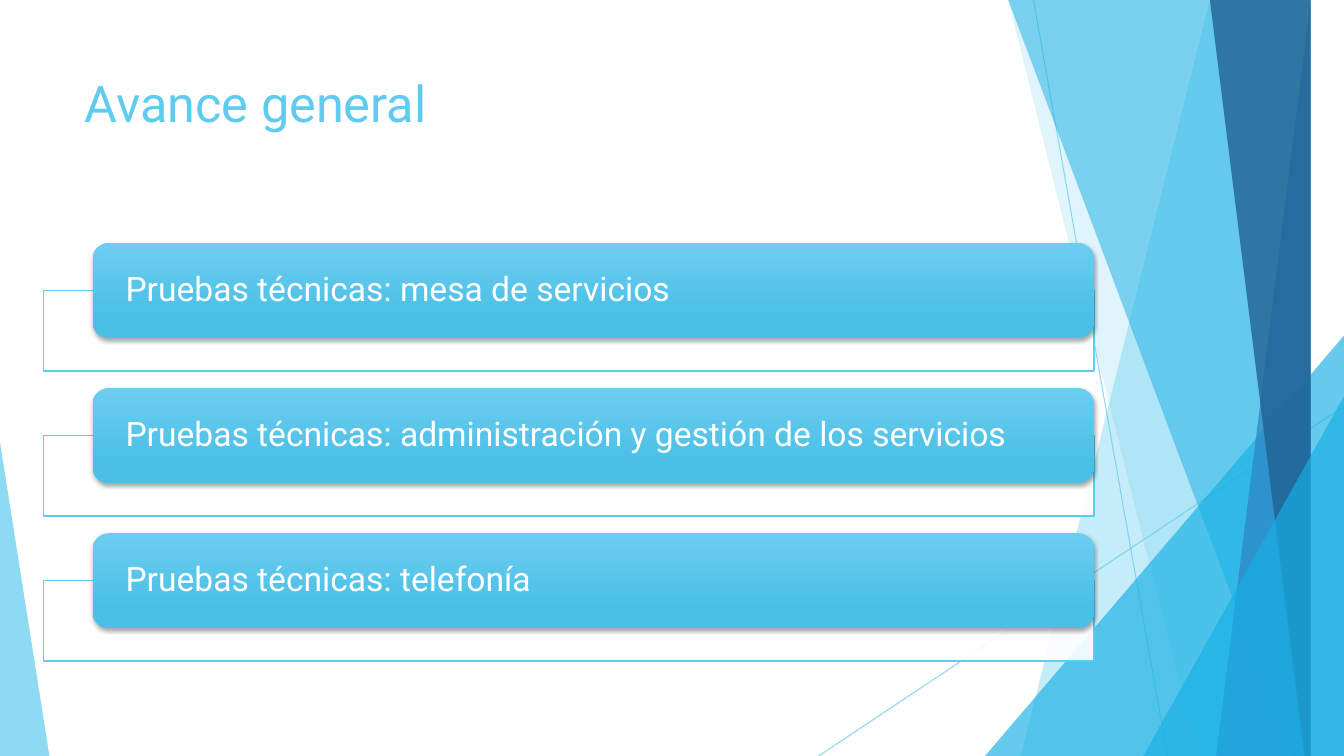
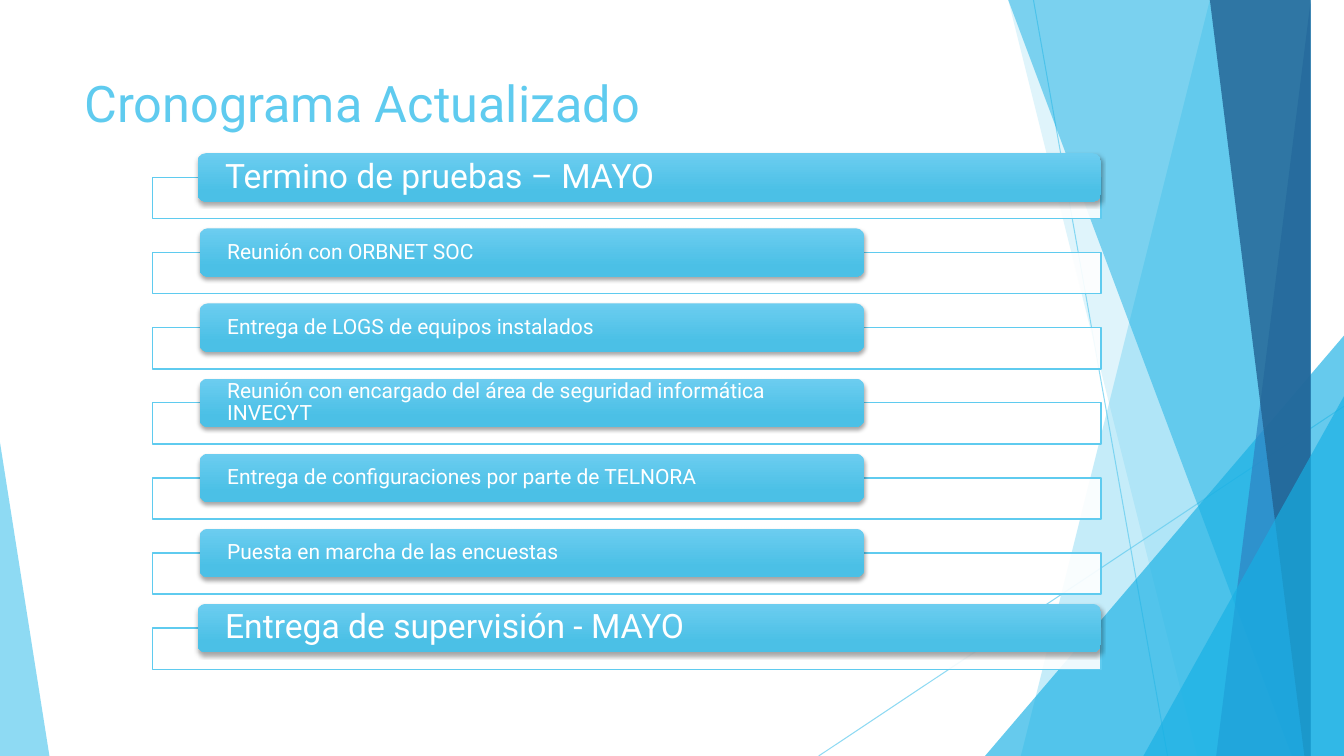
from lxml.etree import SubElement
from pptx import Presentation
from pptx.dml.color import RGBColor
from pptx.enum.shapes import MSO_CONNECTOR as Connector, MSO_SHAPE as Shape
from pptx.enum.text import MSO_ANCHOR as Anchor, PP_ALIGN as Align
from pptx.oxml.ns import qn
from pptx.util import Inches, Pt

SKY = RGBColor(0x5F, 0xCB, 0xEF)
CYAN = RGBColor(0x17, 0xB0, 0xE4)
BLUE = RGBColor(0x2E, 0x83, 0xC3)
NAVY = RGBColor(0x22, 0x62, 0x92)
CARD_TOP = RGBColor(0x6C, 0xCD, 0xF0)
CARD_BOTTOM = RGBColor(0x4B, 0xC0, 0xE6)
BLACK = RGBColor(0, 0, 0)
WHITE = RGBColor(0xFF, 0xFF, 0xFF)
FONT = "Roboto"
RIGHT, TOP, BOTTOM = 13.33, -0.01, 7.5

# Thin rays: start x, start y, end x, end y
RAYS = [(10.25, 0, 11.58, BOTTOM), (RIGHT, 4.03, 8.12, BOTTOM)]
# Bands: x at the top, x at the bottom. Triangles: left, top, width, apex.
FACETS = [
    ("band", (12.28, 10.04), SKY, 36),
    ("band", (10.5, 11.83), SKY, 20),
    ("triangle", (9.77, 3.33, 3.56, 1), CYAN, 66),
    ("band", (10.21, 12.91), CYAN, 50),
    ("band", (13.03, 11.92), BLUE, 70),
    ("band", (11.96, 13.18), NAVY, 80),
    ("triangle", (11.34, 3.93, 1.99, 1), CYAN, 66),
    ("triangle", (0, 4.39, 0.49, 0), SKY, 70),
]

# Cards: text, left, width, text size
progress = [(text, 0.92, 9.93, 24) for text in (
    "Pruebas técnicas: mesa de servicios",
    "Pruebas técnicas: administración y gestión de los servicios",
    "Pruebas técnicas: telefonía",
)]
meetings = [(text, 1.98, 6.59, 15) for text in (
    "Reunión con ORBNET SOC",
    "Entrega de LOGS de equipos instalados",
    "Reunión con encargado del área de seguridad informática INVECYT",
    "Entrega de configuraciones por parte de TELNORA",
    "Puesta en marcha de las encuestas",
)]
schedule = [
    ("Termino de pruebas – MAYO", 1.96, 8.96, 24),
    *meetings,
    ("Entrega de supervisión - MAYO", 1.96, 8.96, 24),
]
# Title, cards, first card top, pitch, card height, text inset,
# then the frame's left, width and height
PAGES = [
    ("Avance general", progress, 2.41, 1.44, 0.94, 0.28, 0.43, 10.42, 0.8),
    ("Cronograma Actualizado", schedule, 1.52, 4.47 / 6, 0.48, 0.25,
     1.51, 9.41, 0.41),
]


def fade(part, opacity):
    """Set the opacity, in percent, of the first colour of a shape."""
    color = next(part.element.spPr.iter(qn("a:srgbClr")))
    SubElement(color, qn("a:alpha")).set("val", str(opacity * 1000))


def write(frame, text, size, color):
    """Write one left-aligned run and return its paragraph."""
    frame.word_wrap = True
    paragraph = frame.paragraphs[0]
    paragraph.alignment = Align.LEFT
    run = paragraph.add_run()
    run.text = text
    run.font.name, run.font.size = FONT, Pt(size)
    run.font.color.rgb = color
    return paragraph


deck = Presentation()
deck.slide_width, deck.slide_height = Inches(RIGHT), Inches(BOTTOM)

for (title, cards, first_top, pitch, card_height, inset,
     frame_left, frame_width, frame_height) in PAGES:
    shapes = deck.slides.add_slide(deck.slide_layouts[6]).shapes

    for ends in RAYS:
        ray = shapes.add_connector(Connector.STRAIGHT, *map(Inches, ends))
        ray.line.color.rgb = SKY
        ray.line.width = Pt(0.75)
        fade(ray, 70)
        SubElement(ray.element.spPr, qn("a:effectLst"))

    for kind, geometry, color, opacity in FACETS:
        if kind == "band":
            top_x, bottom_x = geometry
            outline = shapes.build_freeform(top_x, TOP, scale=Inches(1))
            outline.add_line_segments(
                [(RIGHT, TOP), (RIGHT, BOTTOM), (bottom_x, BOTTOM)])
            facet = outline.convert_to_shape()
        else:
            left, top, width, apex = geometry
            facet = shapes.add_shape(
                Shape.ISOSCELES_TRIANGLE, Inches(left), Inches(top),
                Inches(width), Inches(BOTTOM - top))
            facet.adjustments[0] = apex
        facet.shadow.inherit = False
        facet.fill.solid()
        facet.fill.fore_color.rgb = color
        facet.line.fill.background()
        fade(facet, opacity)

    heading = shapes.add_textbox(
        Inches(0.74), Inches(0.67), Inches(9.4), Inches(1.44))
    write(heading.text_frame, title, 36, SKY)

    for row, (text, left, width, size) in enumerate(cards):
        top = first_top + row * pitch
        frame = shapes.add_shape(
            Shape.RECTANGLE, Inches(frame_left), Inches(top + card_height / 2),
            Inches(frame_width), Inches(frame_height))
        frame.shadow.inherit = False
        frame.fill.solid()
        frame.fill.fore_color.rgb = WHITE
        frame.line.color.rgb = SKY
        frame.line.width = Pt(1)
        fade(frame, 90)

        card = shapes.add_shape(
            Shape.ROUNDED_RECTANGLE, Inches(left), Inches(top),
            Inches(width), Inches(card_height))
        card.line.fill.background()
        card.fill.gradient()
        card.fill.gradient_angle = 270
        start, end = card.fill.gradient_stops
        start.color.rgb, start.position = CARD_TOP, 0
        end.color.rgb, end.position = CARD_BOTTOM, 0.78

        card.shadow.inherit = False
        shadow = SubElement(
            card.element.spPr.find(qn("a:effectLst")), qn("a:outerShdw"),
            blurRad=str(Pt(3)), dist=str(Pt(2)), dir="5400000", rotWithShape="0")
        shade = SubElement(shadow, qn("a:srgbClr"), val=str(BLACK))
        SubElement(shade, qn("a:alpha"), val="35000")

        label = card.text_frame
        label.vertical_anchor = Anchor.MIDDLE
        label.margin_left = label.margin_right = Inches(inset)
        label.margin_top = label.margin_bottom = 0
        write(label, text, size, WHITE).line_spacing = 0.9

deck.save("out.pptx")
